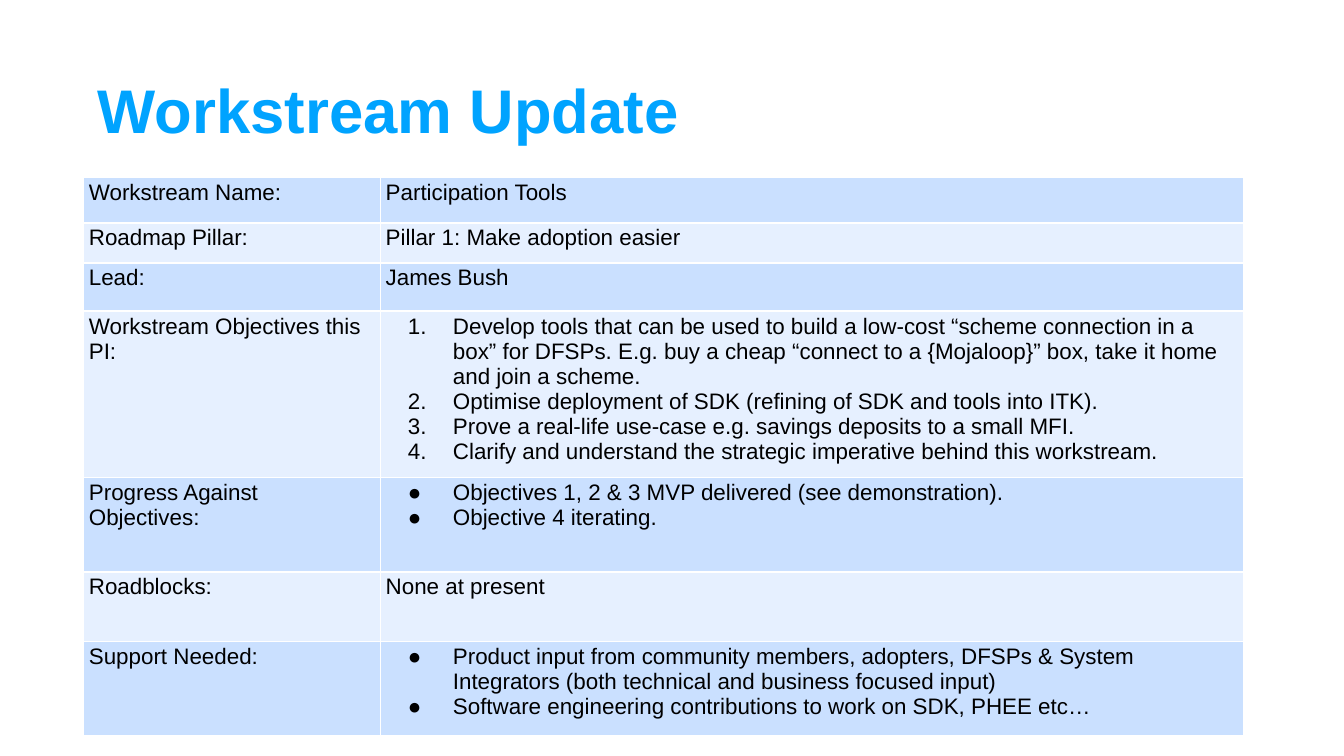
from lxml.etree import SubElement
from pptx import Presentation
from pptx.dml.color import RGBColor
from pptx.enum.text import MSO_ANCHOR
from pptx.oxml.ns import qn
from pptx.util import Cm, Pt

COLORS = {
    "title": "00A3FF",
    "text": "000000",
    "border": "FFFFFF",
    "dark_band": "CAE0FF",
    "light_band": "E6F0FF",
}
MARGINS = {
    "margin_left": Cm(0.1),
    "margin_right": Cm(0.1),
    "margin_top": Cm(0.05),
    "margin_bottom": Cm(0.05),
}
TITLE_FONT = {"name": "Arial", "size": Pt(33), "bold": True}
BODY_FONT = {"name": "Arial", "size": Pt(12), "bold": False}

COLUMN_WIDTHS = (5.61, 16.31)
# Row height in cm, label, list style, entries
ROWS = [
    (0.86, "Workstream Name:", None, ["Participation Tools"]),
    (0.76, "Roadmap Pillar:", None, ["Pillar 1: Make adoption easier"]),
    (0.91, "Lead:", None, ["James Bush"]),
    (2.9, "Workstream Objectives this PI:", "number", [
        "Develop tools that can be used to build a low-cost “scheme connection in a box” "
        "for DFSPs. E.g. buy a cheap “connect to a {Mojaloop}” box, take it home and join a scheme.",
        "Optimise deployment of SDK (refining of SDK and tools into ITK).",
        "Prove a real-life use-case e.g. savings deposits to a small MFI.",
        "Clarify and understand the strategic imperative behind this workstream.",
    ]),
    (1.78, "Progress Against Objectives:", "bullet", [
        "Objectives 1, 2 & 3 MVP delivered (see demonstration).",
        "Objective 4 iterating.",
    ]),
    (1.32, "Roadblocks:", None, ["None at present"]),
    (1.78, "Support Needed:", "bullet", [
        "Product input from community members, adopters, DFSPs & System Integrators "
        "(both technical and business focused input)",
        "Software engineering contributions to work on SDK, PHEE etc…",
    ]),
]


def set_values(target, values):
    for name, value in values.items():
        setattr(target, name, value)


def add_span(para, text, font, color):
    span = para.add_run()
    span.text = text
    set_values(span.font, font)
    span.font.color.rgb = RGBColor.from_string(COLORS[color])


def add_list_mark(para, style):
    """Give a paragraph a hanging indent with a number or a bullet."""
    properties = para._p.get_or_add_pPr()
    properties.set("marL", str(Cm(1.27)))
    properties.set("indent", str(-Cm(0.85)))
    mark_color = SubElement(properties, qn("a:buClr"))
    SubElement(mark_color, qn("a:srgbClr"), val=COLORS["text"])
    SubElement(properties, qn("a:buFont"), typeface="Arial")
    if style == "number":
        SubElement(properties, qn("a:buAutoNum"), type="arabicPeriod")
    else:
        SubElement(properties, qn("a:buChar"), char="●")


def add_borders(cell):
    properties = cell._tc.get_or_add_tcPr()
    for side in ("lnL", "lnR", "lnT", "lnB"):
        line = SubElement(properties, qn(f"a:{side}"), w=str(Pt(1)))
        fill = SubElement(line, qn("a:solidFill"))
        SubElement(fill, qn("a:srgbClr"), val=COLORS["border"])


def fill_cell(cell, entries, style, band):
    set_values(cell, MARGINS)
    add_borders(cell)
    cell.fill.solid()
    cell.fill.fore_color.rgb = RGBColor.from_string(COLORS[band])
    frame = cell.text_frame
    for index, entry in enumerate(entries):
        para = frame.add_paragraph() if index else frame.paragraphs[0]
        if style:
            add_list_mark(para, style)
        add_span(para, entry, BODY_FONT, "text")


def add_title(slide, text):
    box = slide.shapes.add_textbox(Cm(1.75), Cm(0.76), Cm(19.66), Cm(2.77))
    frame = box.text_frame
    set_values(frame, {**MARGINS, "word_wrap": True, "vertical_anchor": MSO_ANCHOR.MIDDLE})
    para = frame.paragraphs[0]
    para.line_spacing = 0.9
    add_span(para, text, TITLE_FONT, "title")


def add_update_table(slide):
    width = sum(COLUMN_WIDTHS)
    height = sum(row[0] for row in ROWS)
    table = slide.shapes.add_table(
        len(ROWS), len(COLUMN_WIDTHS), Cm(1.58), Cm(3.35), Cm(width), Cm(height)
    ).table
    set_values(table, {"first_row": False, "horz_banding": False})
    for column, column_width in zip(table.columns, COLUMN_WIDTHS):
        column.width = Cm(column_width)
    for index, (row_height, label, style, entries) in enumerate(ROWS):
        table.rows[index].height = Cm(row_height)
        band = "light_band" if index % 2 else "dark_band"
        fill_cell(table.cell(index, 0), [label], None, band)
        fill_cell(table.cell(index, 1), entries, style, band)


def main():
    deck = Presentation()
    set_values(deck, {"slide_width": Cm(25.4), "slide_height": Cm(14.29)})
    slide = deck.slides.add_slide(deck.slide_layouts[6])
    add_title(slide, "Workstream Update")
    add_update_table(slide)
    deck.save("out.pptx")


if __name__ == "__main__":
    main()
